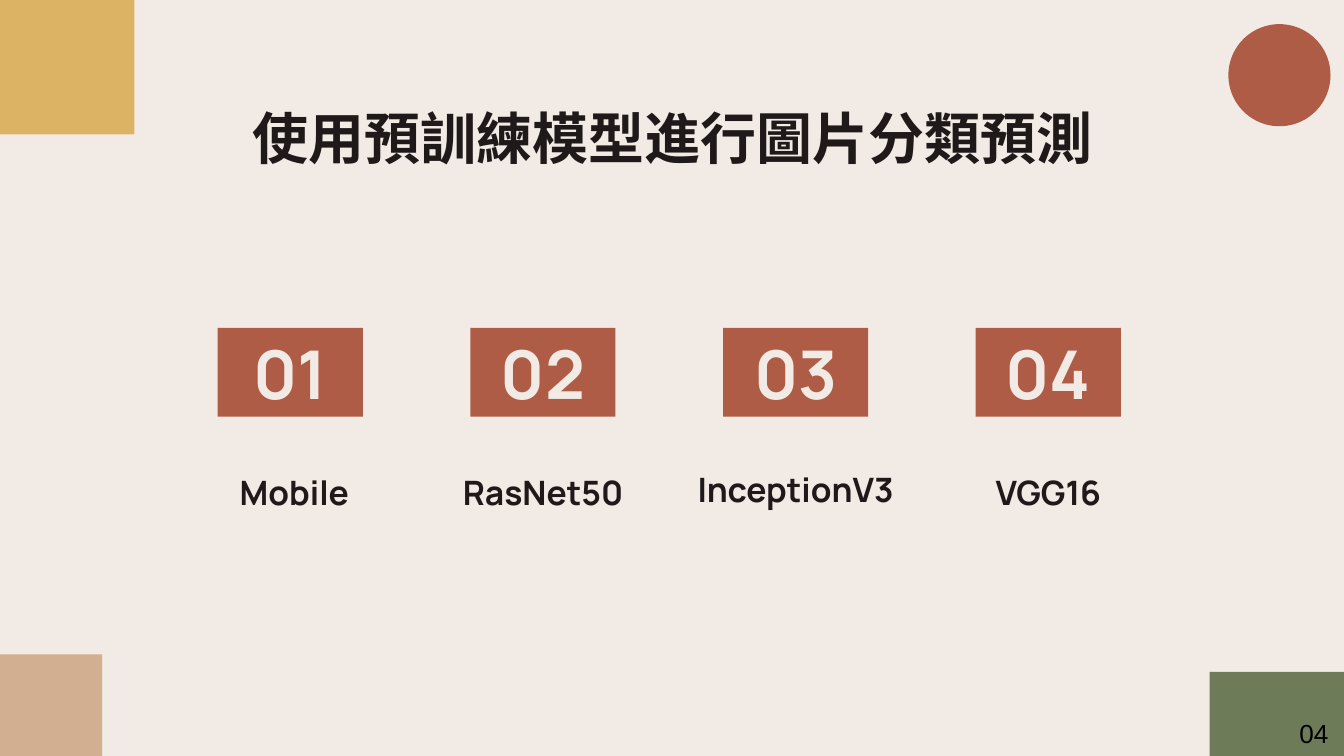
"""Build the slide listing the pretrained models for image classification."""
from pptx import Presentation
from pptx.dml.color import RGBColor
from pptx.enum.shapes import MSO_SHAPE
from pptx.enum.text import MSO_ANCHOR, PP_ALIGN
from pptx.util import Inches, Pt

CREAM = RGBColor(0xF1, 0xEA, 0xE5)
INK = RGBColor(0x1F, 0x19, 0x1A)
BLACK = RGBColor(0x00, 0x00, 0x00)
RUST = RGBColor(0xAF, 0x5C, 0x46)
TAN = RGBColor(0xD3, 0xAF, 0x92)
GREEN = RGBColor(0x6E, 0x7B, 0x59)
GOLD = RGBColor(0xDC, 0xB3, 0x64)
STEPS = 40


def paint(sp, color):
    sp.shadow.inherit = False
    sp.fill.solid()
    sp.fill.fore_color.rgb = color
    sp.line.fill.background()


def write(sp, text, size, color, anchor, font="Manrope", bold=True,
          align=PP_ALIGN.CENTER, inset=0.1):
    tf = sp.text_frame
    tf.word_wrap = True
    tf.vertical_anchor = anchor
    tf.margin_left = tf.margin_right = Inches(0.1)
    tf.margin_top = tf.margin_bottom = Inches(inset)
    tf.text = text
    p = tf.paragraphs[0]
    p.alignment = align
    r = p.runs[0]
    r.font.name = font
    r.font.size = Pt(size)
    r.font.bold = bold
    r.font.color.rgb = color


prs = Presentation()
prs.slide_width = Inches(10)
prs.slide_height = Inches(5.625)
s = prs.slides.add_slide(prs.slide_layouts[6])
s.background.fill.solid()
s.background.fill.fore_color.rgb = CREAM

corners = [
    ([(9.72, 4.63), (9.32, 4.63), (9, 4.95), (9, 5.34)],
     [(9, 5.63), (10, 5.63), (10, 4.63)], GREEN),
    ([(0.5, 0), (0.88, 0.56), (0.52, 1.19), (0, 1.72)], [(0, 0)], GOLD),
]
for curve, rest, color in corners:
    points = []
    for i in range(1, STEPS + 1):
        t = i / STEPS
        weights = ((1 - t) ** 3, 3 * t * (1 - t) ** 2, 3 * t ** 2 * (1 - t), t ** 3)
        points.append(tuple(sum(w * c[axis] for w, c in zip(weights, curve))
                            for axis in (0, 1)))
    fb = s.shapes.build_freeform(*curve[0], scale=Inches(1))
    fb.add_line_segments(points + rest, close=True)
    paint(fb.convert_to_shape(), color)

for kind, x, y, color in [(MSO_SHAPE.RECTANGLE, 0, 4.87, TAN),
                          (MSO_SHAPE.OVAL, 9.14, 0.18, RUST)]:
    sp = s.shapes.add_shape(kind, Inches(x), Inches(y), Inches(0.76), Inches(0.76))
    paint(sp, color)

title = s.shapes.add_textbox(Inches(0.79), Inches(0.67), Inches(8.43), Inches(0.52))
write(title, "使用預訓練模型進行圖片分類預測", 30, INK, MSO_ANCHOR.TOP)

models = [("Mobile", 1.35, 3.44, 1.68), ("RasNet50", 3.2, 3.44, 1.68),
          ("InceptionV3", 5.04, 3.42, 1.76), ("VGG16", 6.96, 3.44, 1.68)]
for i, (name, x, y, width) in enumerate(models):
    sp = s.shapes.add_shape(MSO_SHAPE.RECTANGLE, Inches(1.62 + 1.88 * i),
                            Inches(2.44), Inches(1.08), Inches(0.66))
    paint(sp, RUST)
    write(sp, f"{i + 1:02d}", 36, CREAM, MSO_ANCHOR.MIDDLE)
    label = s.shapes.add_textbox(Inches(x), Inches(y), Inches(width), Inches(0.47))
    write(label, name, 18, INK, MSO_ANCHOR.BOTTOM)

number = s.shapes.add_textbox(Inches(9.57), Inches(5.29), Inches(0.43), Inches(0.34))
write(number, "04", 14, BLACK, MSO_ANCHOR.TOP, "Arial", False, PP_ALIGN.LEFT, 0.05)

prs.save("out.pptx")
